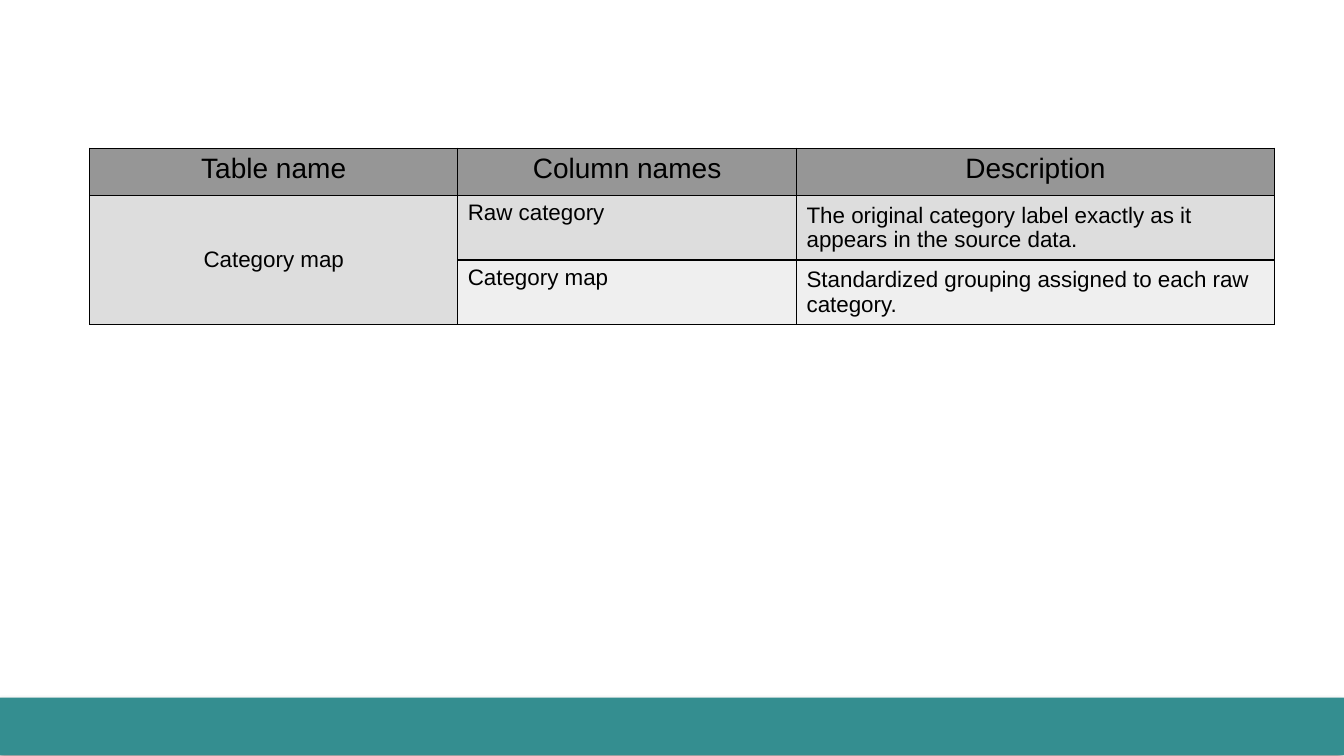
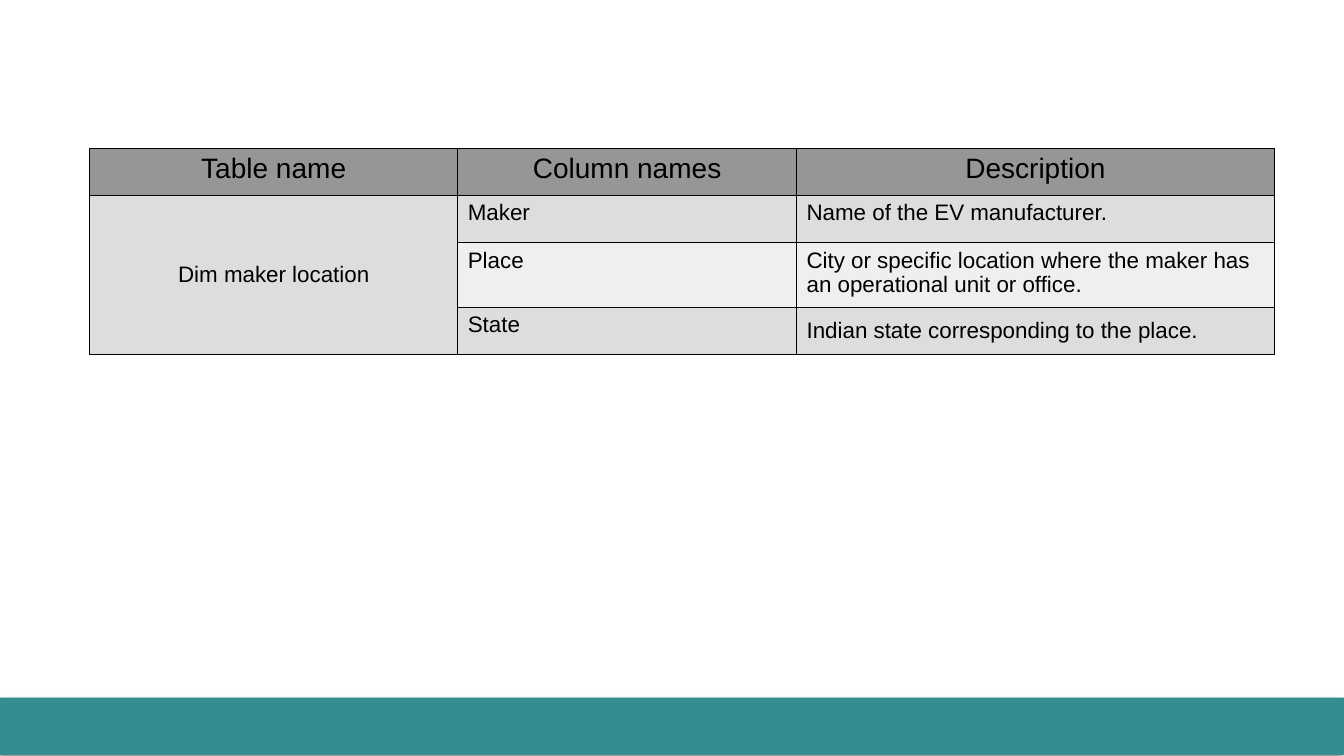
"""Build two data dictionary slides that share a table style and a footer band."""
from dataclasses import dataclass

from lxml import etree
from pptx import Presentation
from pptx import util as u
from pptx.dml.color import RGBColor
from pptx.enum import shapes, text
from pptx.oxml import ns

W, H = 13.33, 7.5
LEFT, TOP = 0.89, 1.47
COLS = (3.65, 3.36, 4.74)
ROW, TALL_ROW = 0.47, 0.64
BAND_TOP, BAND_H = 6.92, 0.57
FONT = "Arial"
HEADERS = ("Table name", "Column names", "Description")
COLORS = {
    "band": "348E90",
    "header": "969696",
    "odd": "DDDDDD",
    "even": "EFEFEF",
    "ink": "000000",
}


@dataclass(frozen=True)
class Field:
    """One documented column of a data table."""
    name: str
    description: str
    tall: bool = False
    middle: bool = False


@dataclass(frozen=True)
class Entry:
    """One data table and its documented columns."""
    name: str
    fields: tuple[Field, ...]


ENTRIES = (
    Entry("Category map", (
        Field("Raw category", "The original category label exactly as it appears in the source data.",
              tall=True, middle=True),
        Field("Category map", "Standardized grouping assigned to each raw category.",
              tall=True, middle=True),
    )),
    Entry("Dim maker location", (
        Field("Maker", "Name of the EV manufacturer."),
        Field("Place", "City or specific location where the maker has an operational unit or office.",
              tall=True),
        Field("State", "Indian state corresponding to the place.", middle=True),
    )),
)


def rgb(name: str) -> RGBColor:
    """Return the named colour."""
    return RGBColor.from_string(COLORS[name])


def add_color(parent, name: str):
    """Append a colour element to an XML parent and return it."""
    return etree.SubElement(parent, ns.qn("a:srgbClr"), val=COLORS[name])


def add_borders(cell) -> None:
    """Draw a thin line on all four sides of a cell."""
    tc_pr = cell._tc.get_or_add_tcPr()
    for i, side in enumerate(("a:lnL", "a:lnR", "a:lnT", "a:lnB")):
        ln = etree.Element(ns.qn(side), w=str(u.Pt(1)))
        add_color(etree.SubElement(ln, ns.qn("a:solidFill")), "ink")
        tc_pr.insert(i, ln)


def style_cell(cell, fill: str) -> None:
    """Give a cell its fill and borders."""
    cell.fill.solid()
    cell.fill.fore_color.rgb = rgb(fill)
    add_borders(cell)


def write(cell, words: str, *, size: int = 16, center: bool = False, middle: bool = False) -> None:
    """Put formatted text in a cell."""
    cell.vertical_anchor = text.MSO_ANCHOR.MIDDLE if middle else text.MSO_ANCHOR.TOP
    p = cell.text_frame.paragraphs[0]
    p.alignment = text.PP_ALIGN.CENTER if center else text.PP_ALIGN.LEFT
    r = p.add_run()
    r.text = words
    r.font.name, r.font.size, r.font.bold = FONT, u.Pt(size), False
    r.font.color.rgb = rgb("ink")


def add_band(s) -> None:
    """Draw the footer band with its soft shadow."""
    sp = s.shapes.add_shape(shapes.MSO_SHAPE.RECTANGLE, 0, u.Inches(BAND_TOP),
                            u.Inches(W), u.Inches(BAND_H))
    sp.fill.solid()
    sp.fill.fore_color.rgb = rgb("band")
    sp.line.fill.background()
    sp.shadow.inherit = False
    effects = sp._element.spPr.find(ns.qn("a:effectLst"))
    shadow = etree.SubElement(effects, ns.qn("a:outerShdw"), blurRad=str(u.Pt(4)),
                              dist=str(u.Pt(3)), dir=str(135 * 60000), rotWithShape="0")
    etree.SubElement(add_color(shadow, "ink"), ns.qn("a:alpha"), val="40000")


def add_dictionary(s, entry: Entry) -> None:
    """Draw the table that documents one entry."""
    heights = [ROW] + [TALL_ROW if f.tall else ROW for f in entry.fields]
    table = s.shapes.add_table(len(heights), len(COLS), u.Inches(LEFT), u.Inches(TOP),
                               u.Inches(sum(COLS)), u.Inches(sum(heights))).table
    for column, width in zip(table.columns, COLS):
        column.width = u.Inches(width)
    for i, (row, height) in enumerate(zip(table.rows, heights)):
        row.height = u.Inches(height)
        for cell in row.cells:
            style_cell(cell, "header" if i == 0 else "odd" if i % 2 else "even")
    for j, header in enumerate(HEADERS):
        write(table.cell(0, j), header, size=20, center=True)
    table.cell(1, 0).merge(table.cell(len(entry.fields), 0))
    write(table.cell(1, 0), entry.name, center=True, middle=True)
    for i, field in enumerate(entry.fields, start=1):
        write(table.cell(i, 1), field.name)
        write(table.cell(i, 2), field.description, middle=field.middle)


def main() -> None:
    """Build and save the presentation."""
    prs = Presentation()
    prs.slide_width, prs.slide_height = u.Inches(W), u.Inches(H)
    for entry in ENTRIES:
        s = prs.slides.add_slide(prs.slide_layouts[6])
        add_band(s)
        add_dictionary(s, entry)
    prs.save("out.pptx")


if __name__ == "__main__":
    main()
